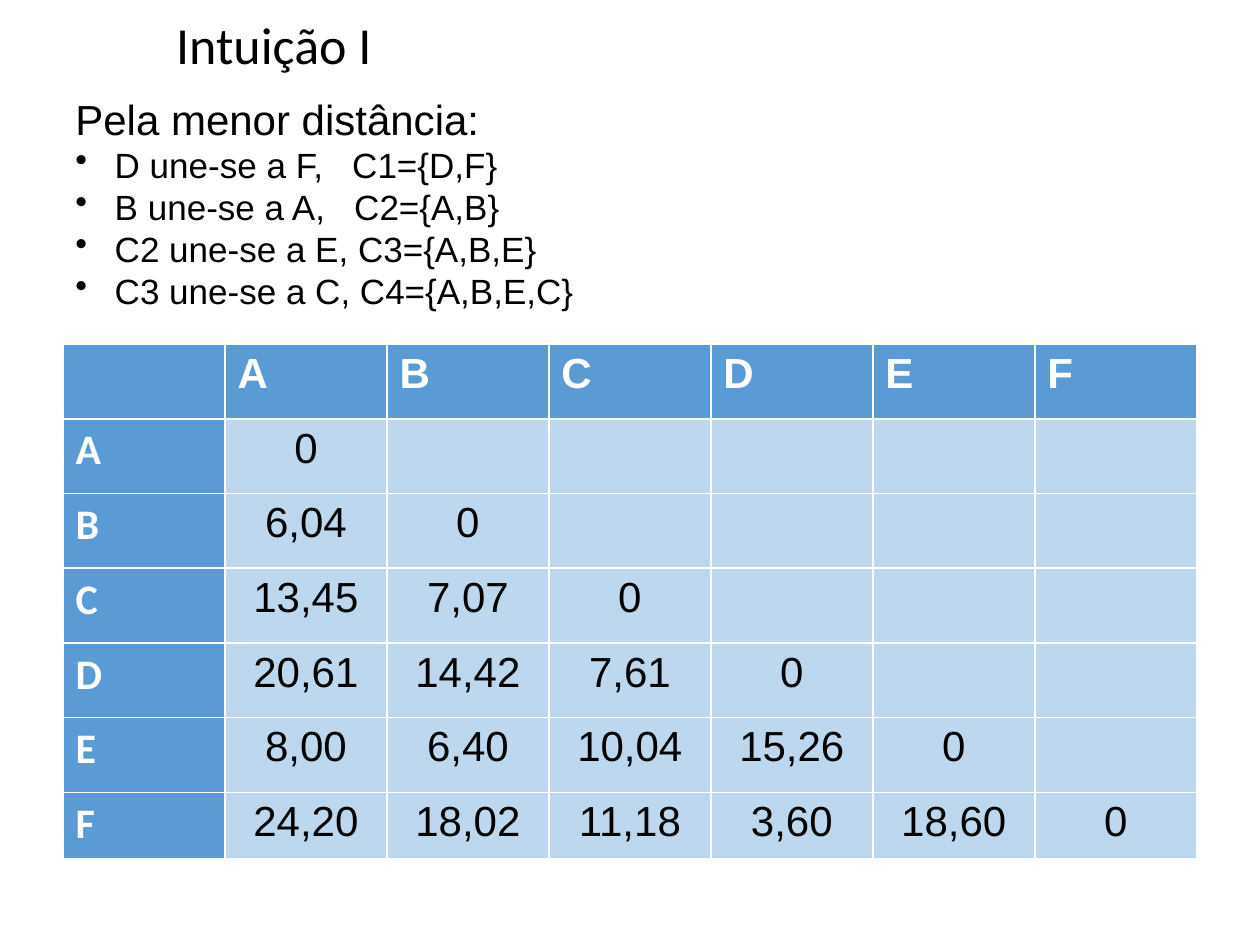
from pptx import Presentation
from pptx.dml.color import RGBColor
from pptx.enum.text import MSO_ANCHOR, PP_ALIGN
from pptx.util import Pt
from lxml.etree import SubElement
from pptx.oxml.ns import qn

BLACK = RGBColor(0x00, 0x00, 0x00)
WHITE = RGBColor(0xFF, 0xFF, 0xFF)
BLUE = RGBColor(0x5B, 0x9B, 0xD5)
PALE_BLUE = RGBColor(0xBD, 0xD7, 0xEE)

LABELS = "ABCDEF"
DISTANCES = [
    ["0"],
    ["6,04", "0"],
    ["13,45", "7,07", "0"],
    ["20,61", "14,42", "7,61", "0"],
    ["8,00", "6,40", "10,04", "15,26", "0"],
    ["24,20", "18,02", "11,18", "3,60", "18,60", "0"],
]
STEPS = [
    "D une-se a F,   C1={D,F}",
    "B une-se a A,   C2={A,B}",
    "C2 une-se a E, C3={A,B,E}",
    "C3 une-se a C, C4={A,B,E,C}",
]


def write(para, text, size, name="Arial", color=BLACK, bold=False):
    para.text = text
    para.font.size = Pt(size)
    para.font.name = name
    para.font.color.rgb = color
    para.font.bold = bold


deck = Presentation()
deck.slide_width, deck.slide_height = Pt(720), Pt(540)
page = deck.slides.add_slide(deck.slide_layouts[6])

title = page.shapes.add_textbox(Pt(93.6), Pt(14.4), Pt(590.4), Pt(26)).text_frame
title.word_wrap = True
title.vertical_anchor = MSO_ANCHOR.MIDDLE
title.paragraphs[0].line_spacing = 0.9
write(title.paragraphs[0], "Intuição I", 29.7, "Calibri")

steps_box = page.shapes.add_textbox(Pt(36), Pt(49.7), Pt(648), Pt(162.7))
steps = steps_box.text_frame
steps.word_wrap = True
steps_box._element.txBody.bodyPr.set("numCol", "2")
write(steps.paragraphs[0], "Pela menor distância:", 24)
for step in STEPS:
    para = steps.add_paragraph()
    write(para, step, 20)
    props = para._p.get_or_add_pPr()
    props.set("marL", str(Pt(22.5)))
    props.set("indent", str(-Pt(22.5)))
    bullet = SubElement(props, qn("a:buChar"))
    bullet.set("char", "•")
    props.remove(bullet)
    props.insert(0, bullet)

size = len(LABELS) + 1
table = page.shapes.add_table(size, size, Pt(36), Pt(196.6), Pt(648), Pt(294)).table
table.first_col = True
table.horz_banding = False
for row in table.rows:
    row.height = Pt(42.7)
table.rows[size - 1].height = Pt(37.8)

for r in range(size):
    for c in range(size):
        cell = table.cell(r, c)
        cell.fill.solid()
        cell.fill.fore_color.rgb = PALE_BLUE if r and c else BLUE
        para = cell.text_frame.paragraphs[0]
        if r == 0 and c > 0:
            write(para, LABELS[c - 1], 24, "Arial", WHITE, True)
        elif c == 0 and r > 0:
            write(para, LABELS[r - 1], 24, "Calibri", WHITE, True)
        elif 0 < c <= r:
            write(para, DISTANCES[r - 1][c - 1], 24)
            para.alignment = PP_ALIGN.CENTER

deck.save("out.pptx")
